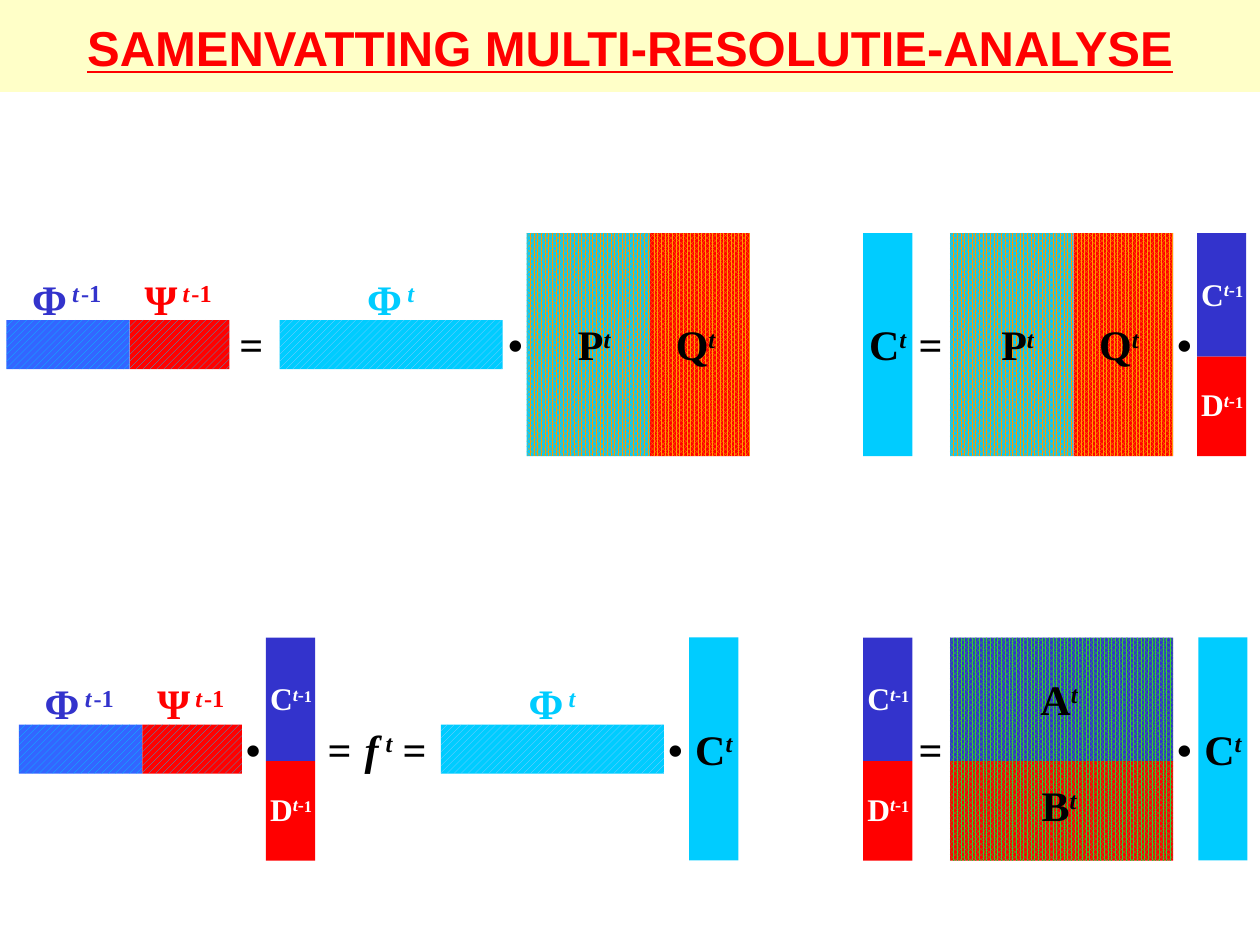
from pptx import Presentation
from pptx.dml.color import RGBColor
from pptx.enum.dml import MSO_PATTERN
from pptx.enum.shapes import MSO_SHAPE
from pptx.enum.text import MSO_ANCHOR, MSO_AUTO_SIZE, PP_ALIGN
from pptx.util import Inches, Pt

BLACK, WHITE, RED = "000000", "FFFFFF", "FF0000"
INDIGO, BLUE, CYAN, ORANGE, GREEN = "3333CC", "3366FF", "00CCFF", "FF9900", "33CC33"
STRIPES, DENSE = MSO_PATTERN.WIDE_UPWARD_DIAGONAL, MSO_PATTERN.PERCENT_80

# Matrix sizes: coarse + detail = full
COARSE, DETAIL, THIN = 0.98, 0.79, 0.39
FULL = COARSE + DETAIL
UPPER, LOWER = 1.85, 5.06

# Offsets from the top of a row
BAR, SYMBOL, BAR_LABEL = 0.69, 0.63, 0.27


def color(value):
    return RGBColor.from_string(value)


class EquationSlide:
    def __init__(self, deck):
        self.slide = deck.slides.add_slide(deck.slide_layouts[6])
        self.font = "Times New Roman"

    def title(self, text):
        self.block(0, 0, 10, 0.73, "FFFFC8")
        box = self.slide.shapes.add_textbox(0, 0, Inches(10), Inches(0.75))
        frame = box.text_frame
        frame.word_wrap = True
        frame.vertical_anchor = MSO_ANCHOR.MIDDLE
        frame.text = text
        frame.paragraphs[0].alignment = PP_ALIGN.CENTER
        font = frame.paragraphs[0].runs[0].font
        font.name, font.size = "Arial", Pt(28)
        font.bold = font.underline = True
        font.color.rgb = color(RED)

    def block(self, x, y, width, height, back, pattern=None, fore=None, turned=False):
        """Draw a matrix in the visible box given; turned rotates it by 90 degrees."""
        left, top, w, h = x, y, width, height
        if turned:
            left, top = x + (width - height) / 2, y + (height - width) / 2
            w, h = height, width
        rect = self.slide.shapes.add_shape(
            MSO_SHAPE.RECTANGLE, Inches(left), Inches(top), Inches(w), Inches(h))
        rect.rotation = 90 if turned else 0
        rect.shadow.inherit = False
        rect.line.fill.background()
        if pattern:
            rect.fill.patterned()
            rect.fill.pattern = pattern
            rect.fill.fore_color.rgb = color(fore)
            rect.fill.back_color.rgb = color(back)
        else:
            rect.fill.solid()
            rect.fill.fore_color.rgb = color(back)

    def formula(self, x, y, width, parts, ink=BLACK, height=0.5):
        """Write parts of (text, size, italic, raised) on one line."""
        box = self.slide.shapes.add_textbox(
            Inches(x), Inches(y), Inches(width), Inches(height))
        frame = box.text_frame
        frame.word_wrap = False
        frame.auto_size = MSO_AUTO_SIZE.SHAPE_TO_FIT_TEXT
        line = frame.paragraphs[0]
        line.alignment = PP_ALIGN.CENTER
        for text, size, italic, raised in parts:
            run = line.add_run()
            run.text = text
            run.font.name, run.font.size = self.font, Pt(size)
            run.font.bold, run.font.italic = True, italic
            run.font.color.rgb = color(ink)
            if raised:
                run.font._element.set("baseline", "30000")

    def equals(self, x, row):
        self.formula(x, row + SYMBOL, 0.39, [("=", 24, False, False)])

    def dot(self, x, row):
        self.formula(x, row + SYMBOL, 0.32, [("•", 24, False, False)])

    def matrix_name(self, x, y, width, letter):
        self.formula(x, y, width, [(letter, 24, False, False), ("t", 24, True, True)])

    def basis_name(self, x, row, width, letter, ink, previous=False):
        parts = [(letter, 24, False, False), (" ", 12, True, False),
                 ("t", 24, True, True), (" ", 8, True, True)]
        if previous:
            parts.append(("-1", 24, False, True))
        self.formula(x, row + BAR_LABEL, width, parts, ink)

    def fine_basis(self, x, row):
        self.block(x, row + BAR, FULL, THIN, CYAN, STRIPES, "99CCFF")
        self.basis_name(x + 0.59, row, 0.58, "Φ", CYAN)

    def split_basis(self, x, row):
        self.block(x, row + BAR, COARSE, THIN, BLUE, STRIPES, CYAN)
        self.block(x + COARSE, row + BAR, DETAIL, THIN, RED, STRIPES, CYAN)
        self.basis_name(x + 0.1, row, 0.76, "Φ", INDIGO, previous=True)
        self.basis_name(x + COARSE, row, 0.77, "Ψ", RED, previous=True)

    def fine_coefficients(self, x, row):
        self.block(x, row, THIN, FULL, CYAN, turned=True)
        self.matrix_name(x - 0.06, row + SYMBOL, 0.51, "C")

    def split_coefficients(self, x, row):
        self.block(x, row, THIN, COARSE, INDIGO, turned=True)
        self.block(x, row + COARSE, THIN, DETAIL, RED, turned=True)
        for letter, drop in (("C", 0.28), ("D", 1.16)):
            parts = [(letter, 18, False, False), ("t", 18, True, True),
                     ("-", 18, False, True), ("1", 16, False, True)]
            self.formula(x - 0.08, row + drop, 0.56, parts, WHITE, height=0.4)

    def synthesis(self, x, row):
        self.block(x, row, COARSE, FULL, CYAN, DENSE, ORANGE)
        self.block(x + COARSE, row, DETAIL, FULL, RED, DENSE, ORANGE)
        self.matrix_name(x + 0.3, row + SYMBOL, 0.47, "P")
        self.matrix_name(x + 1.08, row + SYMBOL, 0.52, "Q")

    def analysis(self, x, row):
        self.block(x, row, FULL, COARSE, INDIGO, DENSE, GREEN, turned=True)
        self.block(x, row + COARSE, FULL, DETAIL, RED, DENSE, GREEN, turned=True)
        self.matrix_name(x + 0.61, row + 0.24, 0.51, "A")
        self.matrix_name(x + 0.62, row + 1.08, 0.49, "B")


def main():
    deck = Presentation()
    deck.slide_width, deck.slide_height = Inches(10), Inches(7.5)
    summary = EquationSlide(deck)
    summary.title("SAMENVATTING MULTI-RESOLUTIE-ANALYSE")

    # Coarse bases from the fine basis
    summary.split_basis(0.05, UPPER)
    summary.equals(1.8, UPPER)
    summary.fine_basis(2.22, UPPER)
    summary.dot(3.93, UPPER)
    summary.synthesis(4.18, UPPER)

    # Synthesis of the coefficients
    summary.fine_coefficients(6.85, UPPER)
    summary.equals(7.19, UPPER)
    summary.synthesis(7.54, UPPER)
    summary.dot(9.24, UPPER)
    summary.split_coefficients(9.5, UPPER)

    # The function in both bases
    summary.split_basis(0.15, LOWER)
    summary.dot(1.85, LOWER)
    summary.split_coefficients(2.11, LOWER)
    summary.equals(2.5, LOWER)
    summary.formula(2.79, LOWER + SYMBOL, 0.7, [
        ("f", 24, True, False), (" ", 16, True, False),
        ("t", 24, True, True), (" =", 24, False, False)])
    summary.fine_basis(3.5, LOWER)
    summary.dot(5.2, LOWER)
    summary.fine_coefficients(5.47, LOWER)

    # Analysis of the coefficients
    summary.split_coefficients(6.85, LOWER)
    summary.equals(7.19, LOWER)
    summary.analysis(7.54, LOWER)
    summary.dot(9.24, LOWER)
    summary.fine_coefficients(9.51, LOWER)

    deck.save("out.pptx")


if __name__ == "__main__":
    main()
